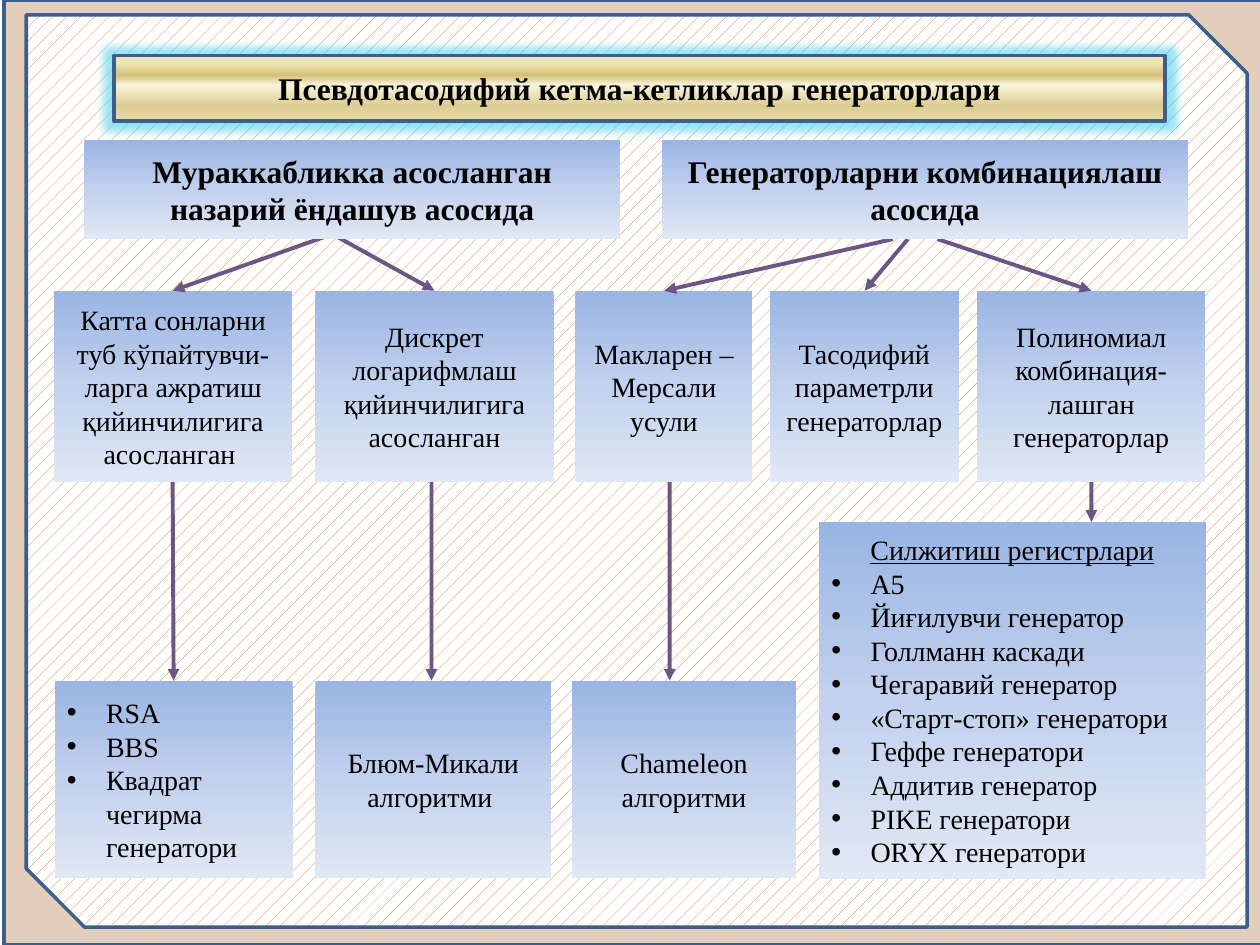
from dataclasses import dataclass

from lxml import etree
from pptx import Presentation
from pptx.dml.color import RGBColor
from pptx.enum import dml, shapes, text
from pptx.oxml.ns import qn
from pptx.util import Cm, Pt

FONT = "Times New Roman"
BLACK = RGBColor(0x00, 0x00, 0x00)
WHITE = RGBColor(0xFF, 0xFF, 0xFF)
BROWN = RGBColor(0x98, 0x48, 0x07)
ORANGE = RGBColor(0xE4, 0x6C, 0x0A)
OUTLINE = RGBColor(0x3A, 0x5F, 0x8C)
PURPLE = RGBColor(0x60, 0x4A, 0x7B)
GLOW = RGBColor(0x4F, 0xD1, 0xF0)
BLUE_STOPS = [
    (0, RGBColor(0x9A, 0xB5, 0xE4)),
    (50, RGBColor(0xC2, 0xD1, 0xED)),
    (100, RGBColor(0xE1, 0xE8, 0xF5)),
]
GOLD_STOPS = [
    (0, RGBColor(0xEB, 0xE3, 0xBD)),
    (12, RGBColor(0xEF, 0xE6, 0xB6)),
    (30, RGBColor(0xD4, 0xBF, 0x75)),
    (45, RGBColor(0xF8, 0xF3, 0xDD)),
    (77, RGBColor(0xDD, 0xCC, 0x92)),
    (100, RGBColor(0xE6, 0xDC, 0xAC)),
]


@dataclass
class Box:
    left: float
    top: float
    width: float
    height: float
    caption: str = ""
    bullets: tuple[str, ...] = ()
    size: int = 16
    bold: bool = False
    underline: bool = False


@dataclass
class Arrow:
    x1: float
    y1: float
    x2: float
    y2: float


APPROACH_TOP, APPROACH_HEIGHT = 2.82, 2.0
METHOD_TOP, METHOD_HEIGHT = 5.86, 3.86
EXAMPLE_TOP, EXAMPLE_HEIGHT = 13.72, 3.99
METHOD_BOTTOM = METHOD_TOP + METHOD_HEIGHT
REGISTER_TOP = 10.52

TITLE = "Псевдотасодифий кетма-кетликлар генераторлари"
APPROACHES = [
    Box(left, APPROACH_TOP, width, APPROACH_HEIGHT, caption, size=18, bold=True)
    for left, width, caption in [
        (1.7, 10.8, "Мураккабликка асосланган назарий ёндашув асосида"),
        (13.34, 10.62, "Генераторларни комбинациялаш асосида"),
    ]
]
METHODS = [
    Box(left, METHOD_TOP, width, METHOD_HEIGHT, caption)
    for left, width, caption in [
        (1.09, 4.8, "Катта сонларни туб кўпайтувчи-ларга ажратиш қийинчилигига асосланган "),
        (6.36, 4.8, "Дискрет логарифмлаш қийинчилигига асосланган"),
        (11.6, 3.57, "Макларен – Мерсали усули"),
        (15.52, 3.81, "Тасодифий параметрли генераторлар"),
        (19.7, 4.6, "Полиномиал комбинация-лашган генераторлар"),
    ]
]
EXAMPLES = [
    Box(left, EXAMPLE_TOP, width, EXAMPLE_HEIGHT, caption, bullets)
    for left, width, caption, bullets in [
        (1.1, 4.8, "", ("RSA", "BBS", "Квадрат чегирма генератори")),
        (6.36, 4.75, "Блюм-Микали алгоритми ", ()),
        (11.53, 4.52, "Chameleon алгоритми", ()),
    ]
]
REGISTERS = Box(
    16.51, REGISTER_TOP, 7.8, 7.2, "Силжитиш регистрлари",
    ("А5", "Йиғилувчи генератор", "Голлманн каскади", "Чегаравий генератор",
     "«Старт-стоп» генератори", "Геффе генератори", "Аддитив генератор",
     "PIKE генератори", "ORYX генератори"),
    underline=True,
)
ARROWS = [
    Arrow(3.48, METHOD_BOTTOM, 3.5, EXAMPLE_TOP),
    Arrow(8.7, METHOD_BOTTOM, 8.7, EXAMPLE_TOP),
    Arrow(13.5, METHOD_BOTTOM, 13.5, EXAMPLE_TOP),
    Arrow(22, METHOD_BOTTOM, 22, REGISTER_TOP),
    Arrow(6.7, 4.72, 8.76, METHOD_TOP),
    Arrow(6.7, 4.72, 3.48, METHOD_TOP),
    Arrow(18.9, 4.82, 22, METHOD_TOP),
    Arrow(18.3, 4.82, 17.43, METHOD_TOP),
    Arrow(18, 4.82, 13.39, METHOD_TOP),
]


def add_alpha(fill_element, percent: int) -> None:
    color = fill_element.find(qn("a:srgbClr"))
    etree.SubElement(color, qn("a:alpha"), val=str(percent * 1000))


def fill_gradient(shape, stops: list[tuple[int, RGBColor]]) -> None:
    """Fill from top to bottom with the given (percent, colour) stops."""
    shape.fill.gradient()
    shape.fill.gradient_angle = 270
    stop_list = shape._element.spPr.find(qn("a:gradFill")).find(qn("a:gsLst"))
    for old_stop in list(stop_list):
        stop_list.remove(old_stop)
    for percent, color in stops:
        stop = etree.SubElement(stop_list, qn("a:gs"), pos=str(percent * 1000))
        etree.SubElement(stop, qn("a:srgbClr"), val=str(color))


def add_outline(shape) -> None:
    shape.line.color.rgb = OUTLINE
    shape.line.width = Pt(2)


def add_shape(slide, kind, left: float, top: float, width: float, height: float):
    shape = slide.shapes.add_shape(kind, Cm(left), Cm(top), Cm(width), Cm(height))
    shape.shadow.inherit = False
    return shape


def add_run(paragraph, words: str, size: int, bold: bool = False, underline: bool = False) -> None:
    run = paragraph.add_run()
    run.text = words
    run.font.name = FONT
    run.font.size = Pt(size)
    run.font.bold = bold
    run.font.underline = underline
    run.font.color.rgb = BLACK


def add_bullet(paragraph) -> None:
    properties = paragraph._p.get_or_add_pPr()
    properties.set("marL", str(Cm(0.79)))
    properties.set("indent", str(-Cm(0.79)))
    etree.SubElement(properties, qn("a:buFont"), typeface="Arial")
    etree.SubElement(properties, qn("a:buChar"), char="•")


def add_box(slide, box: Box) -> None:
    shape = add_shape(slide, shapes.MSO_SHAPE.RECTANGLE, box.left, box.top, box.width, box.height)
    fill_gradient(shape, BLUE_STOPS)
    shape.line.fill.background()
    frame = shape.text_frame
    frame.word_wrap = True
    frame.vertical_anchor = text.MSO_ANCHOR.MIDDLE
    paragraph = frame.paragraphs[0]
    if box.caption:
        paragraph.alignment = text.PP_ALIGN.CENTER
        add_run(paragraph, box.caption, box.size, box.bold, box.underline)
    for number, bullet in enumerate(box.bullets):
        if box.caption or number:
            paragraph = frame.add_paragraph()
        paragraph.alignment = text.PP_ALIGN.LEFT
        add_bullet(paragraph)
        add_run(paragraph, bullet, box.size)


def add_arrow(slide, arrow: Arrow) -> None:
    connector = slide.shapes.add_connector(
        shapes.MSO_CONNECTOR.STRAIGHT, Cm(arrow.x1), Cm(arrow.y1), Cm(arrow.x2), Cm(arrow.y2))
    connector.line.color.rgb = PURPLE
    connector.line.width = Pt(2.25)
    line = connector.line._get_or_add_ln()
    add_alpha(line.find(qn("a:solidFill")), 92)
    etree.SubElement(line, qn("a:tailEnd"), type="triangle")
    etree.SubElement(connector._element.spPr, qn("a:effectLst"))


def add_background(slide) -> None:
    frame = add_shape(slide, shapes.MSO_SHAPE.RECTANGLE, 0.08, 0, 25.4, 19.05)
    frame.fill.solid()
    frame.fill.fore_color.rgb = BROWN
    add_alpha(frame._element.spPr.find(qn("a:solidFill")), 27)
    add_outline(frame)
    panel = add_shape(slide, shapes.MSO_SHAPE.SNIP_2_DIAG_RECTANGLE, 0.53, 0.3, 24.61, 18.39)
    panel.adjustments[0] = 0
    panel.adjustments[1] = 0.064
    panel.fill.patterned()
    panel.fill.pattern = dml.MSO_PATTERN.PERCENT_10
    panel.fill.fore_color.rgb = ORANGE
    panel.fill.back_color.rgb = WHITE
    add_outline(panel)


def format_title(slide) -> None:
    title = slide.shapes.title
    slide.shapes._spTree.append(title._element)  # in front of the background
    title.left, title.top, title.width, title.height = Cm(2.3), Cm(1.12), Cm(21.19), Cm(1.32)
    fill_gradient(title, GOLD_STOPS)
    add_outline(title)
    effects = etree.SubElement(title._element.spPr, qn("a:effectLst"))
    glow = etree.SubElement(effects, qn("a:glow"), rad=str(Pt(10)))
    color = etree.SubElement(glow, qn("a:srgbClr"), val=str(GLOW))
    etree.SubElement(color, qn("a:alpha"), val="60000")
    frame = title.text_frame
    frame.word_wrap = True
    frame.auto_size = text.MSO_AUTO_SIZE.NONE
    frame.vertical_anchor = text.MSO_ANCHOR.MIDDLE
    frame.paragraphs[0].alignment = text.PP_ALIGN.CENTER
    add_run(frame.paragraphs[0], TITLE, 18, bold=True)


def main() -> None:
    presentation = Presentation()
    presentation.slide_width, presentation.slide_height = Cm(25.4), Cm(19.05)
    slide = presentation.slides.add_slide(presentation.slide_layouts[5])
    add_background(slide)
    format_title(slide)
    for box in [*METHODS, *EXAMPLES, REGISTERS]:
        add_box(slide, box)
    for arrow in ARROWS:
        add_arrow(slide, arrow)
    for box in APPROACHES:
        add_box(slide, box)
    presentation.save("out.pptx")


if __name__ == "__main__":
    main()
